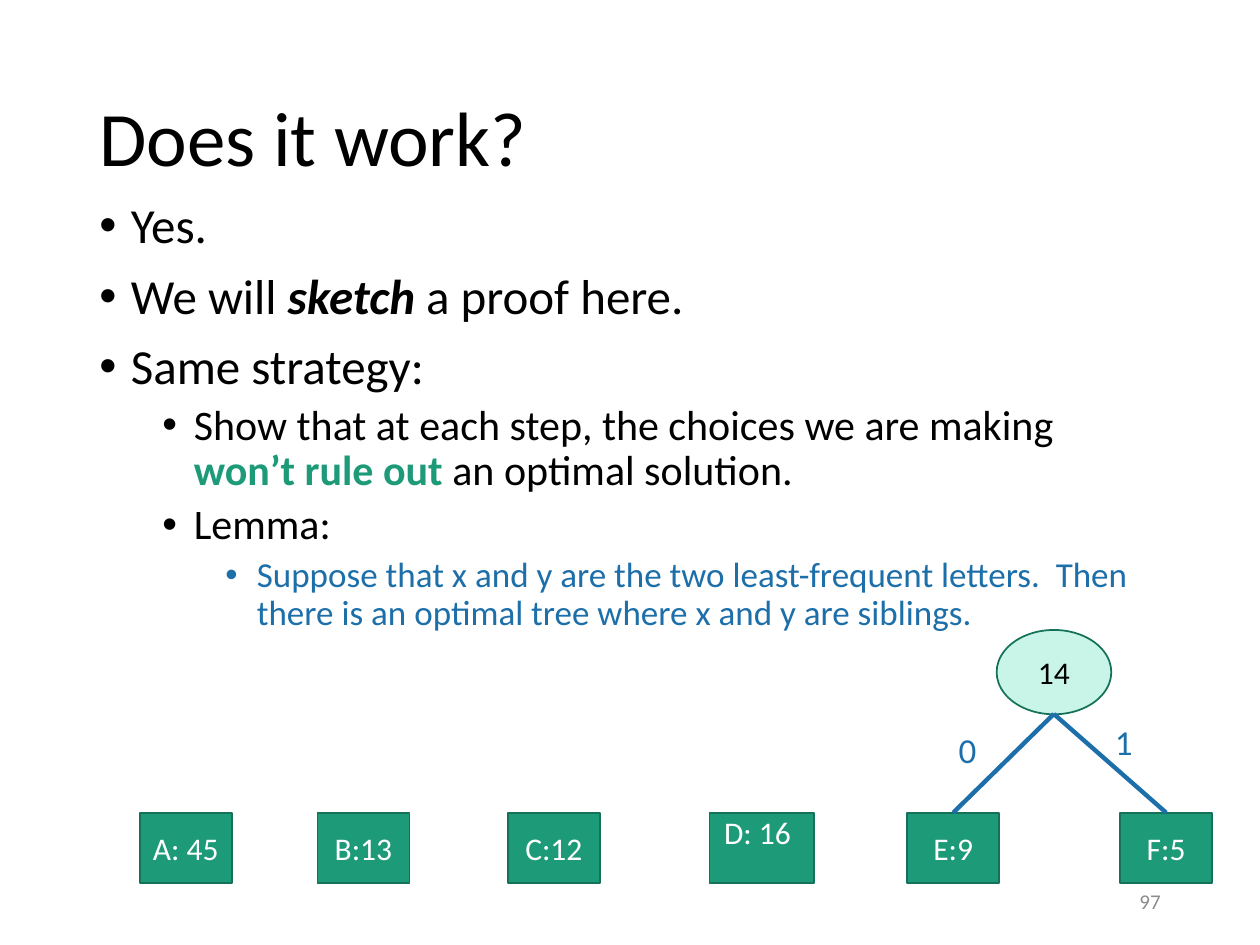
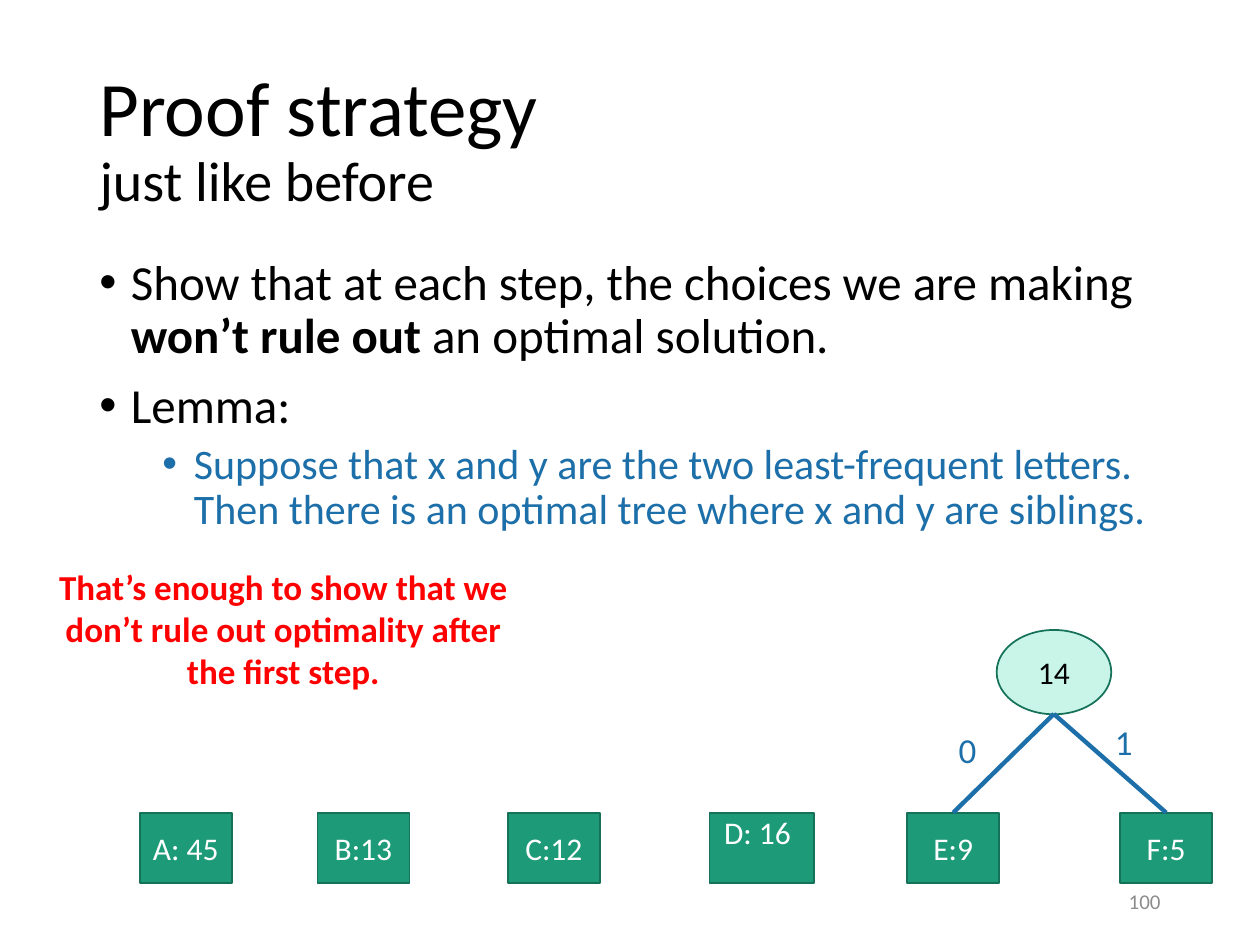
from dataclasses import dataclass

from lxml import etree
from pptx import Presentation
from pptx.dml.color import RGBColor
from pptx.enum import shapes, text
from pptx.oxml import ns
from pptx.util import Pt


@dataclass(frozen=True)
class Theme:
    font: str = "Calibri"
    black: str = "000000"
    white: str = "FFFFFF"
    green: str = "1D9A78"
    dark_green: str = "157259"
    mint: str = "C8F5E8"
    blue: str = "1D6FA9"
    red: str = "FF0000"
    grey: str = "8C8C8C"
    title: int = 44
    subtitle: int = 32
    levels: tuple = (28, 24, 20)
    label: int = 20
    node: int = 18
    number: int = 12


theme = Theme()


def set_values(target, values):
    for name, value in values.items():
        setattr(target, name, value)


def write(paragraph, runs, size, color, alignment=text.PP_ALIGN.LEFT):
    """Write (words, format values) runs; a run may override size and color."""
    paragraph.alignment = alignment
    for words, values in runs:
        if words == "\n":
            paragraph.add_line_break()
            continue
        values = {"size": size, "color": color, "name": theme.font, **values}
        run = paragraph.add_run()
        run.text = words
        run.font.color.rgb = RGBColor.from_string(values.pop("color"))
        values["size"] = Pt(values["size"])
        set_values(run.font, values)


# Wording of the slides
bold = {"bold": True}
step = "Show that at each step, the choices we are making "
lemma = ("Suppose that x and y are the two least-frequent letters.  "
         "Then there is an optimal tree where x and y are siblings.")
pages = [
    {
        "title": [("Does it work?", {})],
        "body_top": 111.6,
        "body": [
            (0, [("Yes.", {})]),
            (0, [("We will ", {}), ("sketch", {"bold": True, "italic": True}),
                 (" a proof here.", {})]),
            (0, [("Same strategy:", {})]),
            (1, [(step, {}), ("won’t rule out ", {"bold": True, "color": theme.green}),
                 ("an optimal solution.", {})]),
            (1, [("Lemma:", {})]),
            (2, [(lemma, {"color": theme.blue})]),
        ],
        "number": "97",
        "remark": None,
    },
    {
        "title": [("Proof strategy", {}), ("\n", {}),
                  ("just like before", {"size": theme.subtitle})],
        "body_top": 144,
        "body": [
            (0, [(step, {}), ("won’t rule out ", bold), ("an optimal solution.", {})]),
            (0, [("Lemma:", {})]),
            (1, [(lemma, {"color": theme.blue})]),
        ],
        "number": "100",
        "remark": "That’s enough to show that we don’t rule out optimality after the first step.",
    },
]

# Tree nodes: label, left, top, width, height
leaf_top, leaf_width, leaf_height = 464.4, 52.6, 40.3
leaves = [("A: 45", 79.9), ("B:13", 181.4), ("C:12", 290.2),
          ("D: 16", 405.4), ("E:9", 518.4), ("F:5", 640.1)]
wide_leaf, wide_width = "D: 16", 59.8
root = ("14", 569.5, 360, 65.5, 48.2)
nodes = [(label, left, leaf_top, wide_width if label == wide_leaf else leaf_width, leaf_height)
         for label, left in leaves] + [root]

presentation = Presentation()
set_values(presentation, {"slide_width": Pt(720), "slide_height": Pt(540)})

for page in pages:
    slide = presentation.slides.add_slide(presentation.slide_layouts[5])

    # Title
    title = slide.shapes.title
    set_values(title, {"left": Pt(49.7), "top": Pt(28.8), "width": Pt(620.6), "height": Pt(104.4)})
    set_values(title.text_frame, {"vertical_anchor": text.MSO_ANCHOR.MIDDLE, "word_wrap": True,
                                  "auto_size": text.MSO_AUTO_SIZE.NONE})
    paragraph = title.text_frame.paragraphs[0]
    paragraph.line_spacing = 0.9
    write(paragraph, page["title"], theme.title, theme.black)

    # Bulleted body
    body = slide.shapes.add_textbox(Pt(49.7), Pt(page["body_top"]), Pt(620.6), Pt(342.7))
    body.text_frame.word_wrap = True
    for index, (level, runs) in enumerate(page["body"]):
        paragraph = body.text_frame.paragraphs[0] if index == 0 else body.text_frame.add_paragraph()
        space = 0 if index == 0 else 5 if level else 10
        set_values(paragraph, {"level": level, "line_spacing": 0.9, "space_before": Pt(space)})
        properties = paragraph._p.get_or_add_pPr()
        properties.set("marL", str(Pt(18 + 36 * level)))
        properties.set("indent", str(Pt(-18)))
        etree.SubElement(properties, ns.qn("a:buFont")).set("typeface", "Arial")
        etree.SubElement(properties, ns.qn("a:buChar")).set("char", "•")
        write(paragraph, runs, theme.levels[level], theme.black)

    # Leaves and their first merged parent
    drawn = {}
    for label, *box in nodes:
        is_root = label == root[0]
        kind = shapes.MSO_SHAPE.OVAL if is_root else shapes.MSO_SHAPE.RECTANGLE
        node = drawn[label] = slide.shapes.add_shape(kind, *map(Pt, box))
        node.shadow.inherit = False
        node.fill.solid()
        node.fill.fore_color.rgb = RGBColor.from_string(theme.mint if is_root else theme.green)
        node.line.color.rgb = RGBColor.from_string(theme.dark_green)
        node.line.width = Pt(1)
        node.text_frame.vertical_anchor = text.MSO_ANCHOR.MIDDLE
        if label == wide_leaf:
            set_values(node.text_frame, {"vertical_anchor": text.MSO_ANCHOR.TOP,
                                         "margin_top": Pt(0), "margin_right": Pt(12)})
        write(node.text_frame.paragraphs[0], [(label, {})], theme.node,
              theme.black if is_root else theme.white, text.PP_ALIGN.CENTER)

    # Branches
    for leaf in ("F:5", "E:9"):
        branch = slide.shapes.add_connector(shapes.MSO_CONNECTOR.STRAIGHT,
                                            Pt(602.2), Pt(408), Pt(602.2), Pt(leaf_top))
        branch.end_connect(drawn[leaf], 0)
        branch.line.color.rgb = RGBColor.from_string(theme.blue)
        branch.line.width = Pt(2.5)
        etree.SubElement(branch._element.spPr, ns.qn("a:effectLst"))

    # Branch labels, slide number and remark
    left, center, right = text.PP_ALIGN.LEFT, text.PP_ALIGN.CENTER, text.PP_ALIGN.RIGHT
    top, middle = text.MSO_ANCHOR.TOP, text.MSO_ANCHOR.MIDDLE
    captions = [
        ("0", {}, (540.7, 412.6, 47.5, 31.7), theme.label, theme.blue, left, top),
        ("1", {}, (630, 408.2, 47.5, 31.7), theme.label, theme.blue, left, top),
        (page["number"], {}, (508.3, 500.4, 162, 28.8), theme.number, theme.grey, right, middle),
    ]
    if page["remark"]:
        captions.append((page["remark"], bold, (23, 319.7, 277.9, 118.8),
                         theme.label, theme.red, center, top))
    for words, values, box, size, color, alignment, anchor in captions:
        caption = slide.shapes.add_textbox(*map(Pt, box))
        set_values(caption.text_frame, {"word_wrap": True, "vertical_anchor": anchor})
        write(caption.text_frame.paragraphs[0], [(words, values)], size, color, alignment)

presentation.save("out.pptx")
